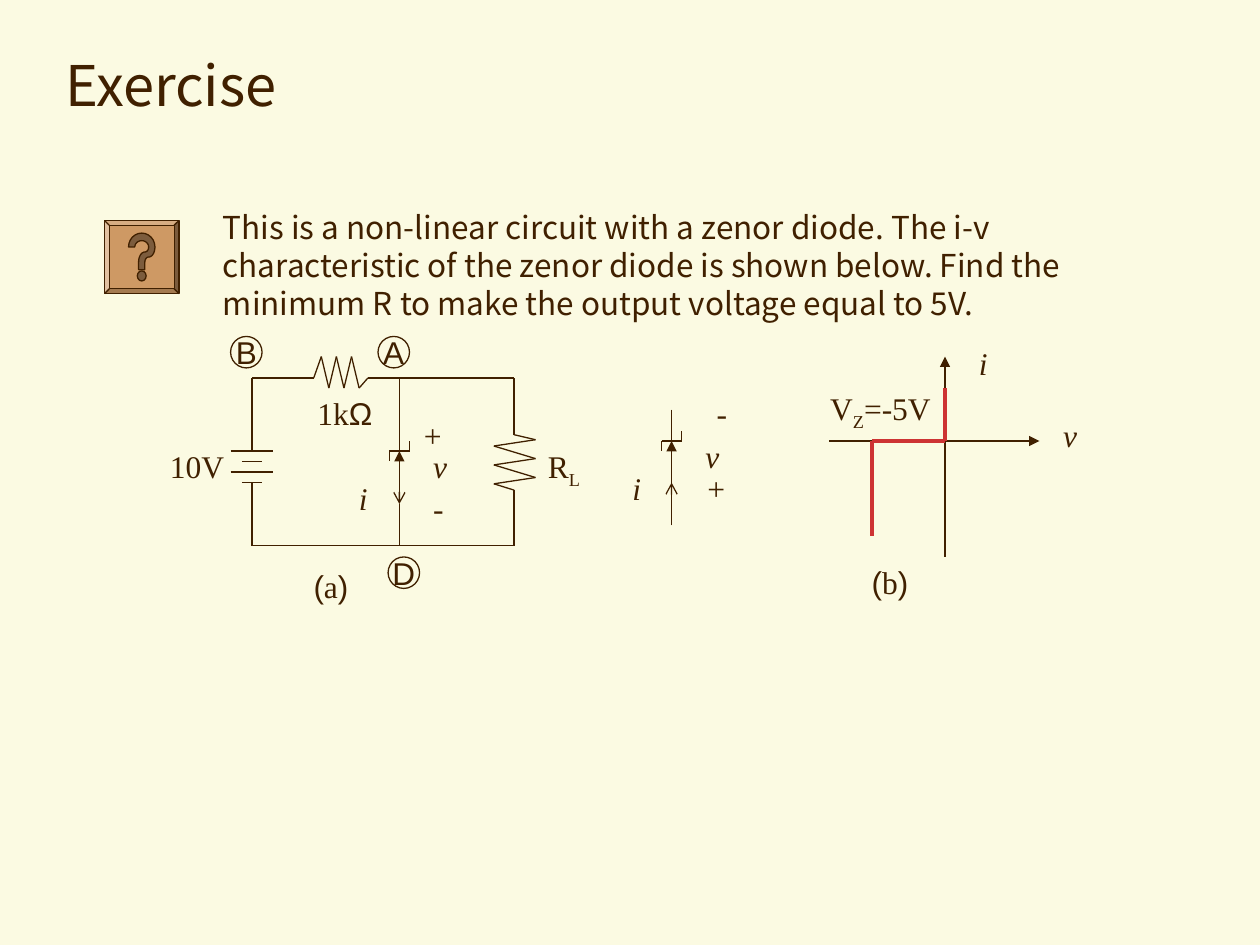
from itertools import pairwise
from math import cos, radians, sin

from pptx import Presentation
from pptx.dml.color import RGBColor
from pptx.enum.shapes import MSO_CONNECTOR as Link, MSO_SHAPE as Shape
from pptx.enum.text import MSO_ANCHOR as Anchor, PP_ALIGN as Align
from pptx.oxml.ns import qn
from pptx.util import Inches, Pt
from lxml.etree import SubElement

COLORS = {"paper": "FBFAE2", "ink": "402000", "curve": "CD3333",
          "button": "CE9964", "mark": "7C5C3D"}
SANS, SERIF, PLAIN = "Noto Sans CJK KR", "Times New Roman", "Arial"


def color(name):
    return RGBColor.from_string(COLORS[name])


def arc(x, y, rx, ry, start, end, steps=12):
    """Points on an ellipse, with angles in degrees clockwise from the right."""
    angles = [radians(start + (end - start) * i / steps) for i in range(steps + 1)]
    return [(x + rx * cos(a), y + ry * sin(a)) for a in angles]


class Sketch:
    """Holds the style and the current slide."""

    def __init__(self, page):
        self.page = page
        self.shapes = page.shapes
        fill = page.background.fill
        fill.solid()
        fill.fore_color.rgb = color("paper")

    def fill_text(self, frame, spans, size=18, italic=False, **formats):
        """Fill a frame with spans of (text, font, baseline percent)."""
        for name, value in formats.items():
            setattr(frame, name, value)
        para = frame.paragraphs[0]
        for text, font, baseline in spans:
            span = para.add_run()
            span.text = text
            style = {"name": font, "size": Pt(size), "italic": italic}
            for name, value in style.items():
                setattr(span.font, name, value)
            span.font.color.rgb = color("ink")
            if baseline:
                span.font._element.set("baseline", str(baseline * 1000))
        return para

    def text(self, at, spans, wrap=False, **formats):
        box = self.shapes.add_textbox(*map(Inches, at))
        return self.fill_text(box.text_frame, spans, word_wrap=wrap, **formats)

    def symbol(self, text, left, top, width, height=0.4, wrap=False):
        """An italic serif sign or variable."""
        self.text((left, top, width, height), [(text, SERIF, 0)], wrap, italic=True)

    def caption(self, letter, left, top):
        spans = [("(", PLAIN, 0), (letter, SERIF, 0), (")", PLAIN, 0)]
        self.text((left, top, 0.5, 0.4), spans)

    def line(self, start, end, width=0.75, ink="ink", head=None, tail=None):
        wire = self.shapes.add_connector(Link.STRAIGHT, *map(Inches, (*start, *end)))
        wire.line.width = Pt(width)
        wire.line.color.rgb = color(ink)
        outline = wire.line._get_or_add_ln()
        for tag, kind in (("a:headEnd", head), ("a:tailEnd", tail)):
            if kind:
                SubElement(outline, qn(tag), type=kind)
        SubElement(wire._element.spPr, qn("a:effectLst"))

    def wires(self, points, **style):
        for start, end in pairwise(points):
            self.line(start, end, **style)

    def finish(self, shape, fill=None):
        shape.shadow.inherit = False
        if fill:
            shape.fill.solid()
            shape.fill.fore_color.rgb = color(fill)
        else:
            shape.fill.background()
        shape.line.color.rgb = color("ink")
        shape.line.width = Pt(0.75)
        return shape

    def preset(self, kind, at, fill=None):
        return self.finish(self.shapes.add_shape(kind, *map(Inches, at)), fill)

    def outline(self, points, fill):
        first, *rest = [(Inches(x), Inches(y)) for x, y in points]
        builder = self.shapes.build_freeform(*first)
        builder.add_line_segments(rest)
        return self.finish(builder.convert_to_shape(), fill)

    def node(self, letter, left, top):
        circle = self.preset(Shape.OVAL, (left, top, 0.25, 0.25))
        para = self.fill_text(circle.text_frame, [(letter, PLAIN, 0)],
                              word_wrap=False, vertical_anchor=Anchor.MIDDLE)
        para.alignment = Align.CENTER

    def zener(self, x, y, tail=None):
        """Lead with the diode's triangle, then the bent cathode bar."""
        reach = 0.08
        self.line((x, y), (x, y + 0.42), head="triangle", tail=tail)
        self.line((x - reach, y), (x + reach, y), width=1)
        self.line((x + reach, y - reach), (x + reach, y))
        self.line((x - reach, y), (x - reach, y + reach))


def draw_question_button(sketch):
    button = sketch.preset(Shape.BEVEL, (0.83, 1.75, 0.59, 0.58), "button")
    button.adjustments[0] = 0.065
    hook = (arc(1.125, 1.96, 0.105, 0.11, 180, 360) + arc(1.18, 1.96, 0.05, 0.08, 0, 90)
            + arc(1.18, 2.08, 0.03, 0.04, 270, 180) + [(1.15, 2.14), (1.1, 2.14)]
            + arc(1.15, 2.08, 0.05, 0.08, 180, 270) + arc(1.15, 1.96, 0.03, 0.04, 90, 0)
            + arc(1.125, 1.96, 0.055, 0.05, 360, 180))
    sketch.outline(hook, "mark")
    sketch.preset(Shape.OVAL, (1.09, 2.15, 0.07, 0.08), "mark")


def draw_circuit(sketch):
    left, middle, right, top, bottom = 2, 3.17, 4.08, 3, 4.33

    # Battery
    for i, half in enumerate((0.17, 0.08, 0.17, 0.08)):
        y = 3.58 + i / 12
        sketch.line((left - half, y), (left + half, y))
    sketch.text((1.25, 3.5, 0.75, 0.4), [("10V", SERIF, 0)], wrap=True)

    # Series resistor between the battery and the diode
    peaks = [(2.49 + 0.06 * i, 2.83 if i % 2 else 3.08) for i in range(1, 7)]
    sketch.wires([(left, 3.58), (left, top), (2.49, top), *peaks,
                  (2.92, top), (right, top)])
    sketch.text((2.42, 3.08, 0.66, 0.4), [("1k", SERIF, 0), ("Ω", PLAIN, 0)], wrap=True)

    # Load resistor and return wire
    turns = [(4.25 if i % 2 == 0 else 3.92, y)
             for i, y in enumerate((3.49, 3.54, 3.64, 3.69, 3.79, 3.84))]
    sketch.wires([(right, top), (right, 3.45), *turns, (right, 3.89),
                  (right, bottom), (left, bottom), (left, 3.83)])
    sketch.text((4.25, 3.5, 0.66, 0.44), [("R", SERIF, 0), ("L", SERIF, -25)], wrap=True)

    # Diode branch
    sketch.line((middle, top), (middle, 3.58))
    sketch.zener(middle, 3.58, tail="arrow")
    sketch.line((middle, 4), (middle, bottom))
    sketch.symbol("+", 3.25, 3.25, 0.27, 0.7, wrap=True)
    sketch.symbol("v", 3.34, 3.5, 0.37)
    sketch.symbol("-", 3.34, 3.83, 0.34)
    sketch.symbol("i", 2.75, 3.75, 0.33)

    # Nodes
    for letter, x, y in (("Α", 3, 2.67), ("B", 1.83, 2.67), ("D", 3.08, 4.42)):
        sketch.node(letter, x, y)
    sketch.caption("a", 2.39, 4.45)


def draw_single_diode(sketch):
    x = 5.33
    sketch.line((x, 3.25), (x, 3.5))
    sketch.zener(x, 3.5)
    sketch.line((x, 4.17), (x, 3.83), tail="arrow")
    sketch.symbol("-", 5.59, 3.08, 0.34)
    sketch.symbol("v", 5.5, 3.42, 0.37)
    sketch.symbol("+", 5.5, 3.67, 0.27, 0.7, wrap=True)
    sketch.symbol("i", 4.92, 3.67, 0.33)


def draw_characteristic(sketch):
    x, y = 7.5, 3.5
    sketch.line((6.58, y), (8.25, y), tail="triangle")
    sketch.line((x, 4.42), (x, 2.83), tail="triangle")
    sketch.wires([(6.92, 4.25), (6.92, y), (x, y), (x, 3.08)], width=2.25, ink="curve")
    sketch.symbol("v", 8.34, 3.25, 0.37)
    sketch.symbol("i", 7.67, 2.68, 0.33)
    sketch.text((6.49, 3.04, 1, 0.44),
                [("V", SERIF, 0), ("Z", SERIF, -25), ("=-5V", SERIF, 0)])
    sketch.caption("b", 6.82, 4.42)


def main():
    deck = Presentation()
    deck.slide_width, deck.slide_height = Inches(10), Inches(7.5)
    sketch = Sketch(deck.slides.add_slide(deck.slide_layouts[6]))

    # Title and task
    sketch.text((0.42, 0.25, 9.17, 0.83), [("Exercise", SANS, 0)], wrap=True,
                size=32, vertical_anchor=Anchor.MIDDLE)
    task = ("This is a non-linear circuit with a zenor diode. The i-v characteristic "
            "of the zenor diode is shown below. Find the minimum R to make the "
            "output voltage equal to 5V.")
    para = sketch.text((1.67, 1.6, 7.42, 1), [(task, SANS, 0)], wrap=True)
    para.line_spacing = Pt(21.7)

    # Drawings
    draw_question_button(sketch)
    draw_circuit(sketch)
    draw_single_diode(sketch)
    draw_characteristic(sketch)
    deck.save("out.pptx")


if __name__ == "__main__":
    main()
